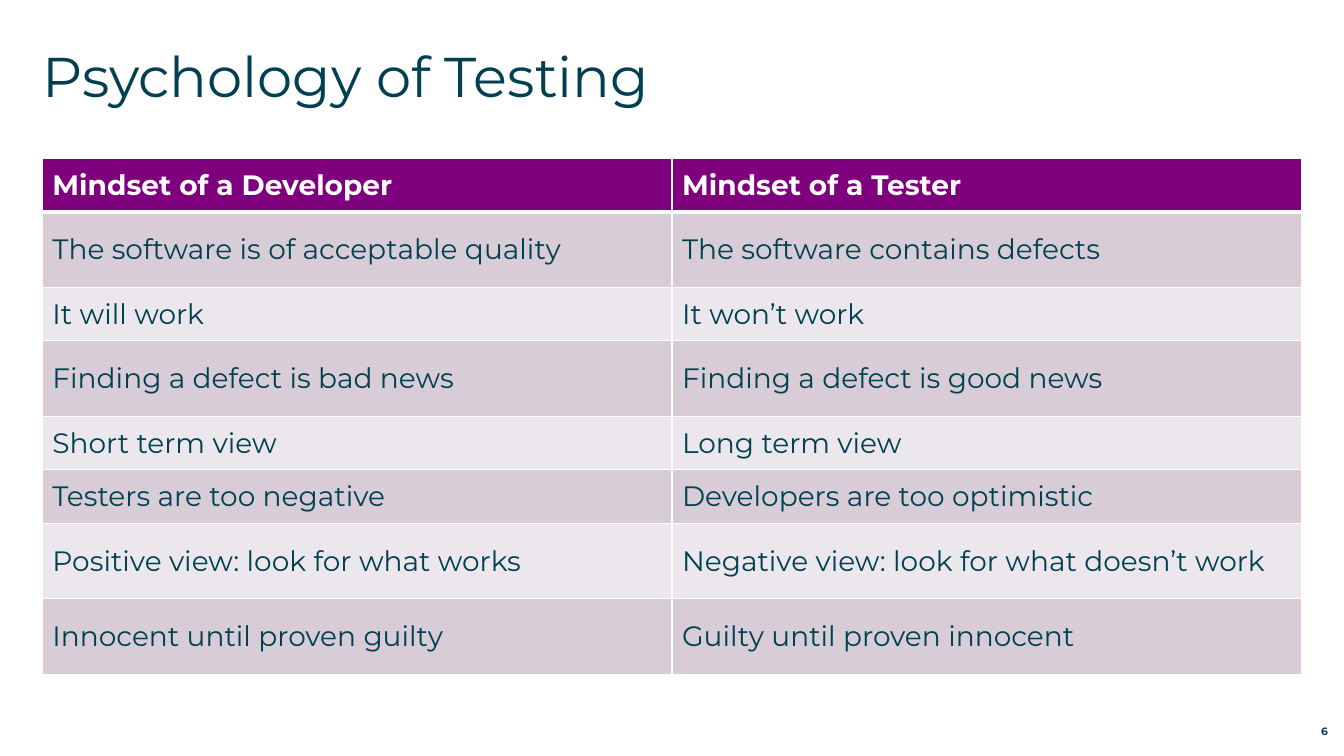
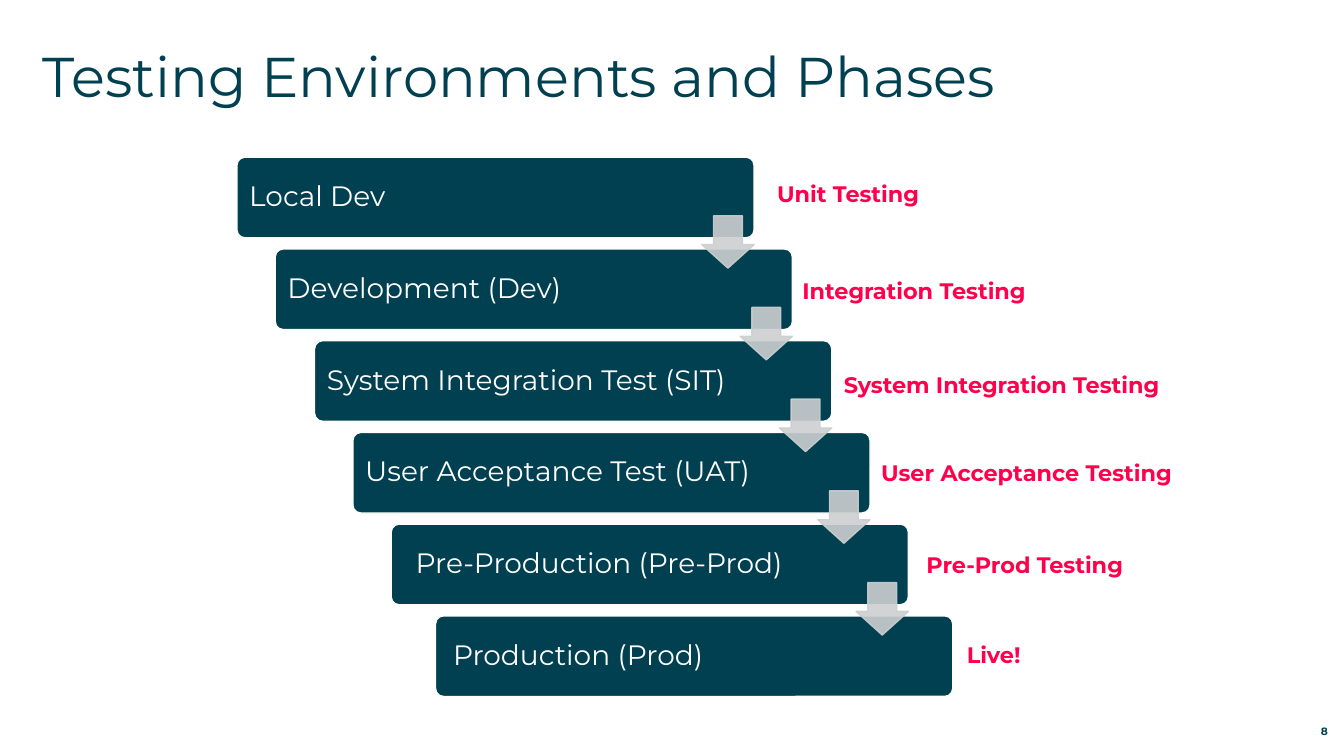
from dataclasses import dataclass

from lxml import etree
from pptx import Presentation
from pptx.dml.color import RGBColor
from pptx.enum import shapes, text
from pptx.oxml import ns
from pptx.util import Inches, Pt


@dataclass(frozen=True)
class Theme:
    font: str = "Montserrat"
    ink: str = "004050"
    white: str = "FFFFFF"
    header: str = "7F007D"
    bands: tuple = ("D8CCD7", "ECE7EC")
    accent: str = "FF004C"
    arrow: str = "CCCFD0"
    arrow_opacity: int = 90
    title_size: float = 40
    body_size: float = 20
    label_size: float = 16
    number_size: float = 7.6


@dataclass(frozen=True)
class Phase:
    """One step of the staircase and the label beside it, in inches."""
    name: str
    left: float
    label: str
    label_left: float
    label_top: float
    label_width: float
    indent: float = 0.1


THEME = Theme()
TITLE_BOX = (0.42, 0.41, 12.49, 0.57)
NUMBER_BOX = (12.31, 7.12, 0.86, 0.2)
TABLE_BOX = (0.42, 1.57, 12.49, 5.12)
STAIRS_TOP, STAIRS_PITCH = 1.56, 0.91
STEP_WIDTH, STEP_HEIGHT = 5.13, 0.8
ARROW_SIZE, ARROW_DROP = 0.52, 0.58

TALL, SHORT = 0.75, 0.53
MINDSETS = [
    (SHORT, "Mindset of a Developer", "Mindset of a Tester"),
    (TALL, "The software is of acceptable quality", "The software contains defects"),
    (SHORT, "It will work", "It won’t work"),
    (TALL, "Finding a defect is bad news", "Finding a defect is good news"),
    (SHORT, "Short term view", "Long term view"),
    (SHORT, "Testers are too negative", "Developers are too optimistic"),
    (TALL, "Positive view: look for what works",
     "Negative view: look for what doesn’t work"),
    (TALL, "Innocent until proven guilty", "Guilty until proven innocent"),
]
PHASES = [
    Phase("Local Dev", 2.35, "Unit Testing", 7.61, 1.74, 1.64),
    Phase("Development (Dev)", 2.73, "Integration Testing", 7.86, 2.7, 2.47),
    Phase("System Integration Test (SIT)", 3.12,
          "System Integration Testing", 8.27, 3.63, 3.41),
    Phase("User Acceptance Test (UAT)", 3.5,
          "User Acceptance Testing", 8.64, 4.51, 3.14),
    Phase("Pre-Production (Pre-Prod)", 3.88,
          "Pre-Prod Testing", 9.09, 5.42, 2.2, 0.22),
    Phase("Production (Prod)", 4.32, "Live!", 9.49, 6.31, 0.75, 0.15),
]


def inches(box):
    return [Inches(value) for value in box]


def rgb(colour):
    return RGBColor.from_string(colour)


def write(frame, words, size, colour, bold=False, align=text.PP_ALIGN.LEFT):
    paragraph = frame.paragraphs[0]
    paragraph.text = words
    paragraph.alignment = align
    font = paragraph.font
    font.name, font.size, font.bold = THEME.font, Pt(size), bold
    font.color.rgb = rgb(colour)
    return paragraph


def set_margins(frame, left, top, right, bottom):
    frame.margin_left, frame.margin_top = Inches(left), Inches(top)
    frame.margin_right, frame.margin_bottom = Inches(right), Inches(bottom)


def add_text(slide, box, words, size, colour, **style):
    frame = slide.shapes.add_textbox(*inches(box)).text_frame
    frame.word_wrap = True
    write(frame, words, size, colour, **style)
    return frame


def add_base_slide(presentation, title, number):
    slide = presentation.slides.add_slide(presentation.slide_layouts[6])
    heading = add_text(slide, TITLE_BOX, title, THEME.title_size, THEME.ink)
    set_margins(heading, 0, 0, 0, 0)
    footer = add_text(slide, NUMBER_BOX, number, THEME.number_size, THEME.ink,
                      bold=True, align=text.PP_ALIGN.RIGHT)
    set_margins(footer, 0, 0, 0, 0)
    footer.vertical_anchor = text.MSO_ANCHOR.BOTTOM
    return slide


def set_cell_borders(cell, widths):
    """Draw white borders; widths are points for left, right, top, bottom."""
    properties = cell._tc.get_or_add_tcPr()
    for index, (side, width) in enumerate(zip("LRTB", widths)):
        line = etree.Element(ns.qn(f"a:ln{side}"), w=str(Pt(width)))
        fill = etree.SubElement(line, ns.qn("a:solidFill"))
        etree.SubElement(fill, ns.qn("a:srgbClr"), val=THEME.white)
        properties.insert(index, line)


def add_mindset_table(slide, box):
    table = slide.shapes.add_table(len(MINDSETS), 2, *inches(box)).table
    for column in table.columns:
        column.width = Inches(box[2] / 2)
    for index, (height, *entries) in enumerate(MINDSETS):
        table.rows[index].height = Inches(height)
        is_header = index == 0
        fill = THEME.header if is_header else THEME.bands[(index - 1) % 2]
        for column, words in enumerate(entries):
            cell = table.cell(index, column)
            cell.fill.solid()
            cell.fill.fore_color.rgb = rgb(fill)
            cell.vertical_anchor = text.MSO_ANCHOR.MIDDLE
            write(cell.text_frame, words, THEME.body_size,
                  THEME.white if is_header else THEME.ink, bold=is_header)
            set_cell_borders(cell, (1, 1, 3 if index == 1 else 1,
                                    3 if is_header else 1))


def add_filled_shape(slide, preset, box, adjustments, fill, line):
    shape = slide.shapes.add_shape(preset, *inches(box))
    shape.shadow.inherit = False
    for index, value in enumerate(adjustments):
        shape.adjustments[index] = value
    shape.fill.solid()
    shape.fill.fore_color.rgb = rgb(fill)
    shape.line.color.rgb = rgb(line)
    shape.line.width = Pt(1)
    return shape


def add_step(slide, phase, top):
    shape = add_filled_shape(
        slide, shapes.MSO_SHAPE.ROUNDED_RECTANGLE,
        (phase.left, top, STEP_WIDTH, STEP_HEIGHT), (0.1,), THEME.ink, THEME.white)
    frame = shape.text_frame
    frame.word_wrap = True
    frame.vertical_anchor = text.MSO_ANCHOR.MIDDLE
    set_margins(frame, phase.indent, 0.08, 0.08, 0.08)
    write(frame, phase.name, THEME.body_size, THEME.white).line_spacing = 0.9


def add_step_arrow(slide, phase, top):
    left = phase.left + STEP_WIDTH - ARROW_SIZE
    arrow = add_filled_shape(
        slide, shapes.MSO_SHAPE.DOWN_ARROW,
        (left, top + ARROW_DROP, ARROW_SIZE, ARROW_SIZE),
        (0.55, 0.45), THEME.arrow, THEME.arrow)
    for colour in arrow._element.spPr.iter(ns.qn("a:srgbClr")):
        etree.SubElement(colour, ns.qn("a:alpha"),
                         val=str(THEME.arrow_opacity * 1000))


def add_phase_label(slide, phase):
    box = (phase.label_left, phase.label_top, phase.label_width, 0.37)
    frame = add_text(slide, box, phase.label, THEME.label_size, THEME.accent,
                     bold=True)
    frame.word_wrap = False


def add_staircase(slide, top):
    steps = [(phase, top + index * STAIRS_PITCH)
             for index, phase in enumerate(PHASES)]
    for phase, step_top in steps:
        add_step(slide, phase, step_top)
    for phase, step_top in steps[:-1]:
        add_step_arrow(slide, phase, step_top)
    for phase in PHASES:
        add_phase_label(slide, phase)


def main():
    presentation = Presentation()
    presentation.slide_width = Inches(13.33)
    presentation.slide_height = Inches(7.5)
    add_mindset_table(
        add_base_slide(presentation, "Psychology of Testing", "6"), TABLE_BOX)
    add_staircase(
        add_base_slide(presentation, "Testing Environments and Phases", "8"),
        STAIRS_TOP)
    presentation.save("out.pptx")


if __name__ == "__main__":
    main()
